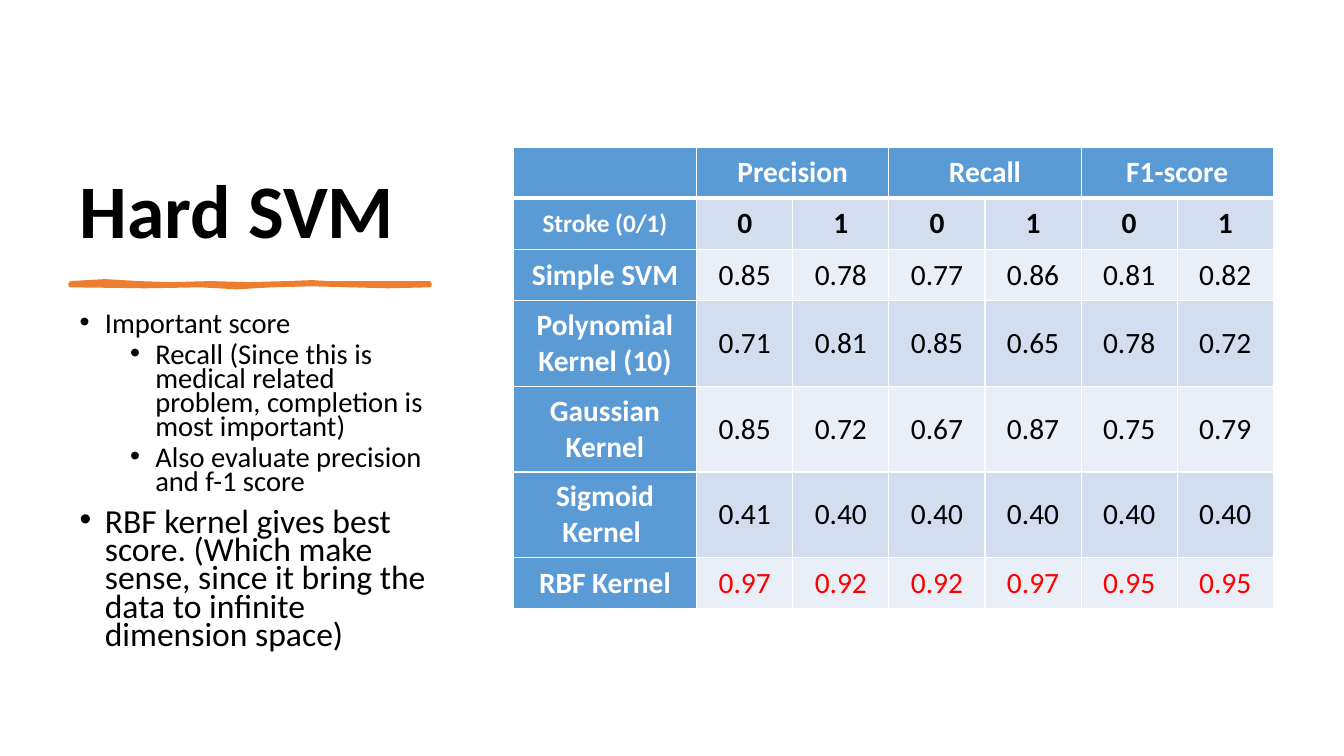
from dataclasses import dataclass

from lxml.etree import SubElement
from pptx import Presentation
from pptx.dml.color import RGBColor as Color
from pptx.enum.text import MSO_ANCHOR as Anchor, MSO_AUTO_SIZE as AutoSize, PP_ALIGN as Align
from pptx.oxml.ns import qn
from pptx.util import Inches, Pt


@dataclass(frozen=True)
class Theme:
    font: str = "Calibri"
    black: str = "000000"
    white: str = "FFFFFF"
    accent: str = "ED7D31"
    header: str = "5B9BD5"
    bands: tuple = ("D2DEEF", "EAEFF7")
    highlight: str = "FF0000"
    title_size: float = 54
    list_size: float = 20.4
    conclusion_size: float = 24.05
    cell_size: float = 21
    label_size: float = 18


theme = Theme()


def format_runs(paragraph, size, color=theme.black, bold=False):
    for run in paragraph.runs:
        run.font.name = theme.font
        run.font.size = Pt(size)
        run.font.bold = bold
        run.font.color.rgb = Color.from_string(color)


def style_cell(cell, fill, top_width=1, bottom_width=1):
    """Give a cell white borders, a solid fill, margins and middle anchoring."""
    properties = cell._tc.get_or_add_tcPr()
    for side, width in (("L", 1), ("R", 1), ("T", top_width), ("B", bottom_width)):
        border = SubElement(properties, qn(f"a:ln{side}"), w=str(Pt(width)))
        SubElement(SubElement(border, qn("a:solidFill")), qn("a:srgbClr"), val=theme.white)
    cell.fill.solid()
    cell.fill.fore_color.rgb = Color.from_string(fill)
    cell.margin_left = cell.margin_right = Inches(0.12)
    cell.margin_top = cell.margin_bottom = Inches(0.06)
    cell.vertical_anchor = Anchor.MIDDLE


presentation = Presentation()
presentation.slide_width = Inches(13.33)
presentation.slide_height = Inches(7.5)
slide = presentation.slides.add_slide(presentation.slide_layouts[1])
column_left, column_width = Inches(0.69), Inches(3.75)

# Title
title = slide.shapes.title
title.left, title.top, title.width, title.height = column_left, Inches(0.7), column_width, Inches(1.88)
title.text_frame.text = "Hard SVM"
title.text_frame.auto_size = AutoSize.NONE
title.text_frame.vertical_anchor = Anchor.BOTTOM
heading = title.text_frame.paragraphs[0]
heading.alignment = Align.LEFT
heading.line_spacing = 0.9
format_runs(heading, theme.title_size, bold=True)

# List
points = [
    (0, "Important score", theme.list_size),
    (1, "Recall (Since this is medical related problem, completion is most important)", theme.list_size),
    (1, "Also evaluate precision and f-1 score", theme.list_size),
    (0, "RBF kernel gives best score. (Which make sense, since it bring the data "
        "to infinite dimension space)", theme.conclusion_size),
]
body = slide.placeholders[1]
body.left, body.top, body.width, body.height = column_left, Inches(3.07), column_width, Inches(3.73)
body.text_frame.text = "\n".join(text for _, text, _ in points)
body.text_frame.auto_size = AutoSize.NONE
for paragraph, (level, _, size) in zip(body.text_frame.paragraphs, points):
    paragraph.level = level
    paragraph.line_spacing = 0.7
    paragraph.space_before = Pt(5 if level else 10)
    properties = paragraph._p.get_or_add_pPr()
    properties.set("marL", str(Inches(0.25 + 0.5 * level)))
    properties.set("indent", str(Inches(-0.25)))
    SubElement(properties, qn("a:buFont"), typeface="Arial")
    SubElement(properties, qn("a:buChar"), char="•")
    format_runs(paragraph, size)

# Hand-drawn rule under the title, in hundredths of an inch
upper_edge = [(70, 281), (87, 280), (104, 279), (121, 280), (138, 281), (170, 282), (209, 281),
              (247, 282), (284, 281), (310, 280), (325, 281), (359, 281), (395, 281), (426, 281)]
lower_edge = [(426, 283), (385, 284), (348, 283), (310, 282), (270, 283), (235, 285),
              (199, 283), (145, 284), (70, 283)]
outline = upper_edge + lower_edge
builder = slide.shapes.build_freeform(*outline[0], scale=Inches(0.01))
builder.add_line_segments(outline[1:], close=True)
rule = builder.convert_to_shape()
rule.shadow.inherit = False
rule.fill.solid()
rule.fill.fore_color.rgb = rule.line.color.rgb = Color.from_string(theme.accent)
rule.line.width = Pt(3)

# Score table
rows = [
    ("", "Precision", "", "Recall", "", "F1-score", ""),
    ("Stroke (0/1)", "0", "1", "0", "1", "0", "1"),
    ("Simple SVM", "0.85", "0.78", "0.77", "0.86", "0.81", "0.82"),
    ("Polynomial Kernel (10)", "0.71", "0.81", "0.85", "0.65", "0.78", "0.72"),
    ("Gaussian Kernel", "0.85", "0.72", "0.67", "0.87", "0.75", "0.79"),
    ("Sigmoid Kernel ", "0.41", "0.40", "0.40", "0.40", "0.40", "0.40"),
    ("RBF Kernel", "0.97", "0.92", "0.92", "0.97", "0.95", "0.95"),
]
table_width, table_height = 7.54, 4.58
label_width, tall_row = 1.82, 0.85
single_row = (table_height - 3 * tall_row) / 4
column_widths = [label_width] + [(table_width - label_width) / 6] * 6
row_heights = [single_row] * 3 + [tall_row] * 3 + [single_row]
table = slide.shapes.add_table(len(rows), len(column_widths), Inches(5.09), Inches(1.46),
                               Inches(table_width), Inches(table_height)).table
for column, width in zip(table.columns, column_widths):
    column.width = Inches(width)
for row, height in zip(table.rows, row_heights):
    row.height = Inches(height)

best_row = len(rows) - 1
for row_index, texts in enumerate(rows):
    for column_index, text in enumerate(texts):
        is_header = row_index == 0 or column_index == 0
        cell = table.cell(row_index, column_index)
        style_cell(cell, theme.header if is_header else theme.bands[(row_index + 1) % 2],
                   top_width=3 if row_index == 1 else 1,
                   bottom_width=3 if row_index == 0 else 1)
        cell.text_frame.text = text
        paragraph = cell.text_frame.paragraphs[0]
        paragraph.alignment = Align.CENTER
        size = theme.label_size if (row_index, column_index) == (1, 0) else theme.cell_size
        value_color = theme.highlight if row_index == best_row else theme.black
        format_runs(paragraph, size, theme.white if is_header else value_color,
                    bold=is_header or row_index == 1)
for first in (1, 3, 5):
    table.cell(0, first).merge(table.cell(0, first + 1))

presentation.save("out.pptx")
